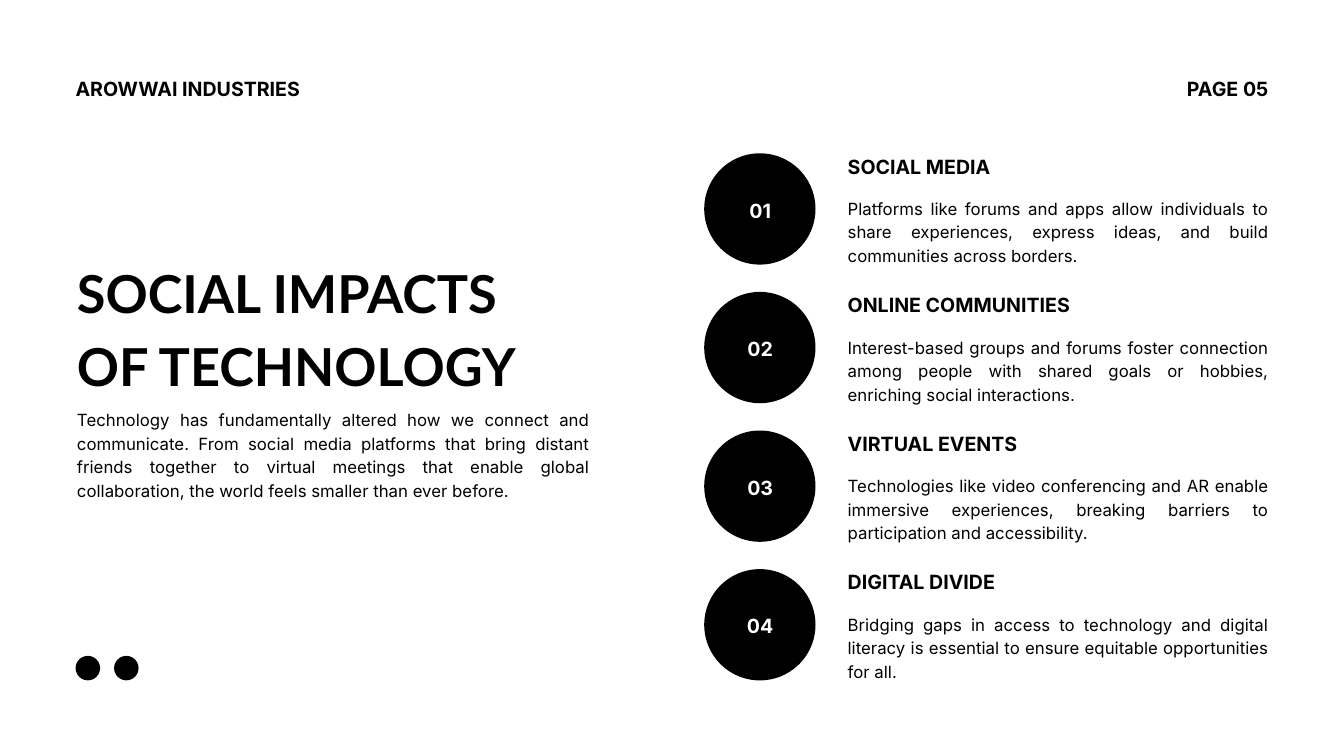
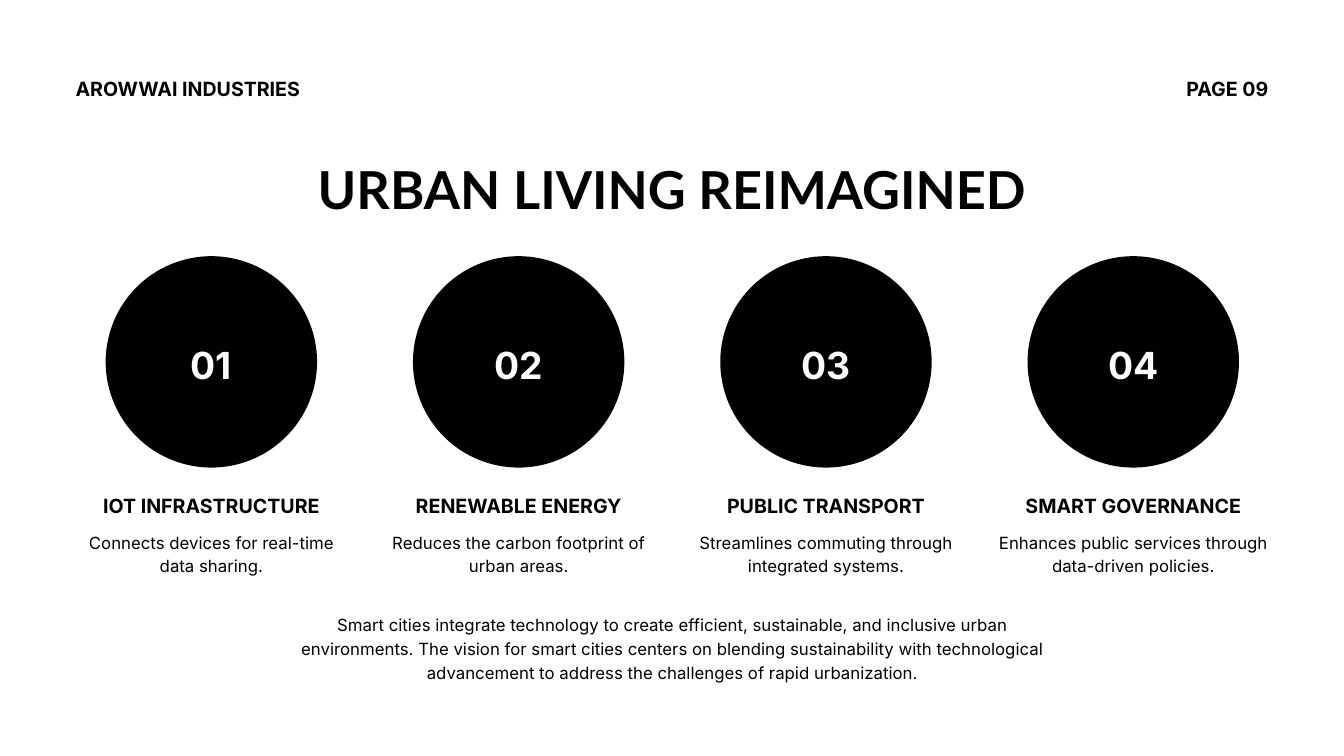
from dataclasses import dataclass, replace
from typing import NamedTuple

from lxml import etree
from pptx import Presentation
from pptx import util as u
from pptx.dml import color as dml
from pptx.enum import shapes, text
from pptx.oxml import ns
from pptx.slide import Slide

# Shared scale, colours and text styles
PX = 9525  # EMU per px, 96 px to the inch
BLACK, WHITE = "000000", "FFFFFF"
LEFT, CENTER = text.PP_ALIGN.LEFT, text.PP_ALIGN.CENTER
RIGHT, JUSTIFY = text.PP_ALIGN.RIGHT, text.PP_ALIGN.JUSTIFY


class Box(NamedTuple):
    left: int
    top: int
    width: int
    height: int

    def shifted(self, dx: int = 0, dy: int = 0) -> "Box":
        return self._replace(left=self.left + dx, top=self.top + dy)


@dataclass(frozen=True)
class Style:
    font: str
    size: float
    leading: float
    bold: bool = False
    color: str = BLACK
    align: text.PP_ALIGN = LEFT


@dataclass(frozen=True)
class Topic:
    heading: str
    detail: str


@dataclass(frozen=True)
class TopicLayout:
    """Boxes of the first topic and the step to the next one."""
    circle: Box
    number: Box
    heading: Box
    detail: Box
    number_style: Style
    heading_style: Style
    detail_style: Style
    dx: int = 0
    dy: int = 0


TITLE = Style("Lato", 56, 78.4, bold=True)
LABEL = Style("Inter", 21, 29.4, bold=True)
PROSE = Style("Inter", 18, 25.2)
JUSTIFIED = replace(PROSE, align=JUSTIFY)
CENTERED = replace(PROSE, align=CENTER)
FRAME = {
    "margin_left": 0, "margin_top": 0, "margin_right": 0, "margin_bottom": 0,
    "word_wrap": True,
    "vertical_anchor": text.MSO_ANCHOR.TOP,
    "auto_size": text.MSO_AUTO_SIZE.SHAPE_TO_FIT_TEXT,
}


# Drawing helpers
def rgb(value: str) -> dml.RGBColor:
    return dml.RGBColor.from_string(value)


def emu(box: Box) -> list[int]:
    return [length * PX for length in box]


def apply(target: object, values: dict) -> None:
    for name, value in values.items():
        setattr(target, name, value)


def write(frame, wording: str, style: Style) -> None:
    apply(frame, FRAME)
    paragraph = frame.paragraphs[0]
    apply(paragraph, {
        "alignment": style.align,
        "line_spacing": u.Pt(style.leading),
        "space_before": u.Pt(0),
    })
    run = paragraph.add_run()
    run.text = wording
    apply(run.font, {"name": style.font, "size": u.Pt(style.size), "bold": style.bold})
    run.font.color.rgb = rgb(style.color)


def add_text(slide: Slide, box: Box, wording: str, style: Style) -> None:
    write(slide.shapes.add_textbox(*emu(box)).text_frame, wording, style)


def fill_placeholder(holder, box: Box, wording: str, style: Style) -> None:
    apply(holder, dict(zip(Box._fields, emu(box))))
    write(holder.text_frame, wording, style)


def remove_bullet(paragraph) -> None:
    properties = paragraph._p.get_or_add_pPr()
    properties.set("marL", "0")
    properties.set("indent", "0")
    etree.SubElement(properties, ns.qn("a:buNone"))


def add_circle(slide: Slide, box: Box) -> None:
    circle = slide.shapes.add_shape(shapes.MSO_SHAPE.OVAL, *emu(box))
    circle.shadow.inherit = False
    circle.fill.solid()
    circle.fill.fore_color.rgb = rgb(BLACK)
    circle.line.fill.background()


def add_topics(slide: Slide, topics: list[Topic], layout: TopicLayout) -> None:
    for index, topic in enumerate(topics):
        dx, dy = index * layout.dx, index * layout.dy
        add_circle(slide, layout.circle.shifted(dx, dy))
        for box, wording, style in (
            (layout.number, f"{index + 1:02}", layout.number_style),
            (layout.heading, topic.heading, layout.heading_style),
            (layout.detail, topic.detail, layout.detail_style),
        ):
            add_text(slide, box.shifted(dx, dy), wording, style)


def add_page(deck, page: int, title: str, title_box: Box, title_style: Style,
             body: str, body_box: Box, body_style: Style) -> Slide:
    slide = deck.slides.add_slide(deck.slide_layouts[1])
    fill_placeholder(slide.shapes.title, title_box, title, title_style)
    summary = slide.placeholders[1]
    remove_bullet(summary.text_frame.paragraphs[0])
    fill_placeholder(summary, body_box, body, body_style)
    add_text(slide, Box(108, 104, 369, 37), "AROWWAI INDUSTRIES", LABEL)
    add_text(slide, Box(1666, 104, 146, 37), f"PAGE {page:02}", replace(LABEL, align=RIGHT))
    return slide


# Slide content
IMPACTS = [
    Topic("SOCIAL MEDIA", "Platforms like forums and apps allow individuals to share "
          "experiences, express ideas, and build communities across borders."),
    Topic("ONLINE COMMUNITIES", "Interest-based groups and forums foster connection among "
          "people with shared goals or hobbies, enriching social interactions."),
    Topic("VIRTUAL EVENTS", "Technologies like video conferencing and AR enable immersive "
          "experiences, breaking barriers to participation and accessibility."),
    Topic("DIGITAL DIVIDE", "Bridging gaps in access to technology and digital literacy is "
          "essential to ensure equitable opportunities for all."),
]
IMPACT_ROWS = TopicLayout(
    circle=Box(1006, 219, 159, 159), number=Box(1046, 278, 80, 37),
    heading=Box(1211, 215, 417, 37), detail=Box(1211, 279, 601, 98),
    number_style=replace(LABEL, color=WHITE, align=CENTER),
    heading_style=LABEL, detail_style=JUSTIFIED, dy=198,
)
CITY_SYSTEMS = [
    Topic("IOT INFRASTRUCTURE", "Connects devices for real-time data sharing."),
    Topic("RENEWABLE ENERGY", "Reduces the carbon footprint of urban areas."),
    Topic("PUBLIC TRANSPORT", "Streamlines commuting through integrated systems."),
    Topic("SMART GOVERNANCE", "Enhances public services through data-driven policies."),
]
CITY_COLUMNS = TopicLayout(
    circle=Box(151, 366, 302, 302), number=Box(226, 479, 152, 69),
    heading=Box(108, 700, 388, 37), detail=Box(108, 756, 388, 64),
    number_style=Style("Inter", 39.9, 55.9, True, WHITE, CENTER),
    heading_style=replace(LABEL, align=CENTER), detail_style=CENTERED, dx=439,
)


def add_social_impacts(deck) -> None:
    slide = add_page(
        deck, 5, "SOCIAL IMPACTS OF TECHNOLOGY", Box(110, 358, 701, 204), TITLE,
        "Technology has fundamentally altered how we connect and communicate. From social "
        "media platforms that bring distant friends together to virtual meetings that enable "
        "global collaboration, the world feels smaller than ever before.",
        Box(110, 581, 732, 132), JUSTIFIED)
    add_topics(slide, IMPACTS, IMPACT_ROWS)
    # Pair of dots in the lower corner
    for index in range(2):
        add_circle(slide, Box(108, 937, 35, 35).shifted(dx=index * 55))


def add_urban_living(deck) -> None:
    slide = add_page(
        deck, 9, "URBAN LIVING REIMAGINED", Box(412, 209, 1096, 99),
        replace(TITLE, align=CENTER),
        "Smart cities integrate technology to create efficient, sustainable, and inclusive "
        "urban environments. The vision for smart cities centers on blending sustainability "
        "with technological advancement to address the challenges of rapid urbanization.",
        Box(403, 874, 1115, 98), CENTERED)
    add_topics(slide, CITY_SYSTEMS, CITY_COLUMNS)


def main() -> None:
    deck = Presentation()
    apply(deck, {"slide_width": 1920 * PX, "slide_height": 1080 * PX})
    add_social_impacts(deck)
    add_urban_living(deck)
    deck.save("out.pptx")


if __name__ == "__main__":
    main()
